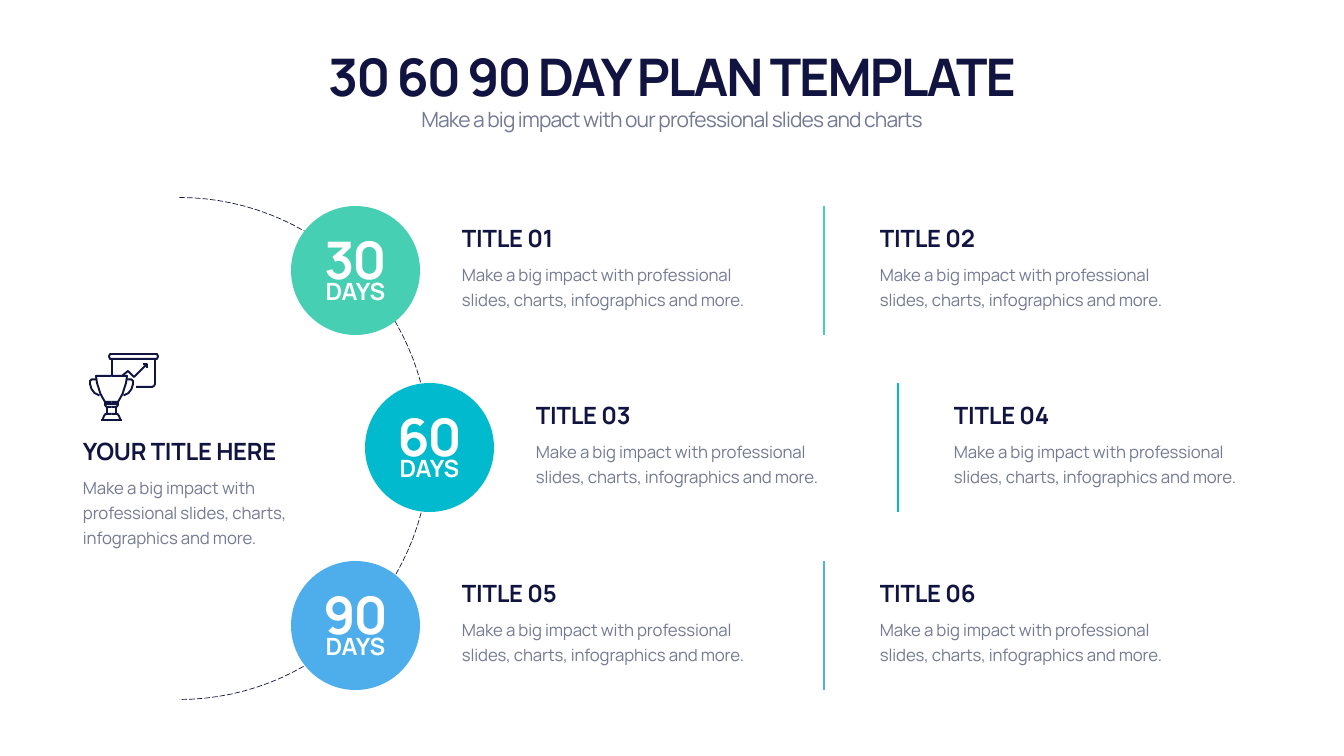
import math
from pptx import Presentation, util as u
from pptx.dml.color import RGBColor
from pptx.enum import dml, shapes, text
from pptx.oxml.ns import qn
from lxml import etree

# Content
HEAD = "30 60 90 DAY PLAN TEMPLATE"
SUB = "Make a big impact with our professional slides and charts"
SIDE = "YOUR TITLE HERE"
NOTE = "Make a big impact with professional slides, charts, infographics and more."
# days, colour, circle left, circle top, titles
ROWS = [
    ("30", "green", 291, 206, ("TITLE 01", "TITLE 02")),
    ("60", "teal", 365, 383, ("TITLE 03", "TITLE 04")),
    ("90", "blue", 291, 561, ("TITLE 05", "TITLE 06")),
]
HEX = {"navy": "111340", "grey": "747994", "white": "FFFFFF",
       "green": "46CFB2", "teal": "01BACD", "blue": "4EADEB"}
# size, letter spacing in hundredths, bold, line spacing
STYLES = {"big": (74, -290, True, None), "sub": (30, -120, False, None),
          "title": (34, -30, True, None), "body": (24, -20, False, 36)}
DISC = 129
COLS = (166, 584)
RULE = 533

# Icon strokes: board first, then the trophy around its middle axis
AXIS = 111.5
BOARD = [
    [(110, 354), (157, 354), (158, 356.5), (157, 359), (110, 359), (109, 356.5), (110, 354)],
    [(112, 376), (112, 359)],
    [(155, 359), (155, 384), (154, 386), (152, 387), (136, 387)],
    [(122, 376), (128, 371), (134, 377), (147, 364)],
    [(143, 364), (147, 364), (147, 368)],
]
HALF = [
    [(0, 376), (15.5, 376), (14.5, 383), (11, 394), (6.5, 402), (0, 402)],
    [(15, 379.5), (20, 379.5), (21.5, 381), (21.5, 384), (20, 389), (17, 393), (12, 395.5)],
    [(6.5, 402), (6.5, 405), (5, 407), (0, 407)],
    [(0, 404), (6.5, 404)],
    [(4.5, 407), (4.5, 414)],
    [(0, 414), (6, 414), (7.5, 416), (9, 420)],
    [(0, 420.4), (10.5, 420.4)],
]
TROPHY = [[(AXIS + s * x, y) for x, y in path] for path in HALF for s in (-1, 1)]

SCALE = 914400 / 50.4


def px(n):
    return u.Emu(round(n * SCALE))


def ink(name):
    return RGBColor.from_string(HEX[name])


deck = Presentation()
deck.slide_width, deck.slide_height = px(1344), px(756)
page = deck.slides.add_slide(deck.slide_layouts[0])
parts = page.shapes


def write(words, box, style, tint, align="LEFT", low=False, hold=None):
    """Put styled words in a new text box or in a placeholder."""
    spot = [px(n) for n in box]
    if hold is None:
        hold = parts.add_textbox(*spot)
    else:
        hold.left, hold.top, hold.width, hold.height = spot
    frame = hold.text_frame
    frame.text = words
    frame.word_wrap = True
    frame.auto_size = text.MSO_AUTO_SIZE.SHAPE_TO_FIT_TEXT
    frame.vertical_anchor = text.MSO_ANCHOR.BOTTOM if low else text.MSO_ANCHOR.TOP
    size, gap, bold, lead = STYLES[style]
    para = frame.paragraphs[0]
    para.alignment = text.PP_ALIGN[align]
    para.space_before = u.Pt(0)
    if lead:
        para.line_spacing = u.Pt(lead)
    run = para.runs[0]
    run.font.name, run.font.size, run.font.bold = "Manrope", u.Pt(size), bold
    run.font.color.rgb = ink(tint)
    run.font._element.set("spc", str(gap))


def trace(paths, width):
    """Draw open strokes as one outline."""
    paths = [[(px(x), px(y)) for x, y in path] for path in paths]
    pen = parts.build_freeform(*paths[0][0], scale=1.0)
    for i, path in enumerate(paths):
        if i:
            pen.move_to(*path[0])
        pen.add_line_segments(path[1:], close=False)
    form = pen.convert_to_shape()
    form.shadow.inherit = False
    form.fill.background()
    form.line.color.rgb = ink("navy")
    form.line.width = u.Pt(width)
    return form


# Dashed half ring
turns = [math.radians(3 * k - 90) for k in range(61)]
ring = trace([[(179.5 + 250 * math.cos(t), 448.5 + 251 * math.sin(t)) for t in turns]], 1)
ring.line.dash_style = dml.MSO_LINE.LONG_DASH

# Icon
trace(BOARD + TROPHY, 2.75)

# Heading
write(HEAD, (84, 41, 1176, 68), "big", "navy", "CENTER", True, parts.title)
write(SUB, (84, 104, 1176, 31), "sub", "grey", "CENTER", hold=page.placeholders[1])

# Side block
write(SIDE, (78, 434, 229, 34), "title", "navy", low=True)
write(NOTE, (78, 470, 229, 80), "body", "grey")

# Rows: disc, divider and two text columns
for days, tint, left, top, titles in ROWS:
    disc = parts.add_shape(shapes.MSO_SHAPE.OVAL, px(left), px(top), px(DISC), px(DISC))
    disc.shadow.inherit = False
    disc.fill.solid()
    disc.fill.fore_color.rgb = ink(tint)
    disc.line.fill.background()

    x = px(left + RULE)
    rule = parts.add_connector(shapes.MSO_CONNECTOR.STRAIGHT, x, px(top), x, px(top + DISC))
    rule.line.color.rgb = ink(tint)
    rule.line.width = u.Pt(2)
    etree.SubElement(rule._element.spPr, qn("a:effectLst"))

    write("DAYS", (left + 6, top + 68, 117, 34), "title", "white", "CENTER")
    write(days, (left + 6, top + 18, 117, 68), "big", "white", "CENTER", True)
    for shift, title in zip(COLS, titles):
        write(title, (left + shift, top + 15, 318, 34), "title", "navy", low=True)
        write(NOTE, (left + shift, top + 51, 318, 55), "body", "grey")

deck.save("out.pptx")
